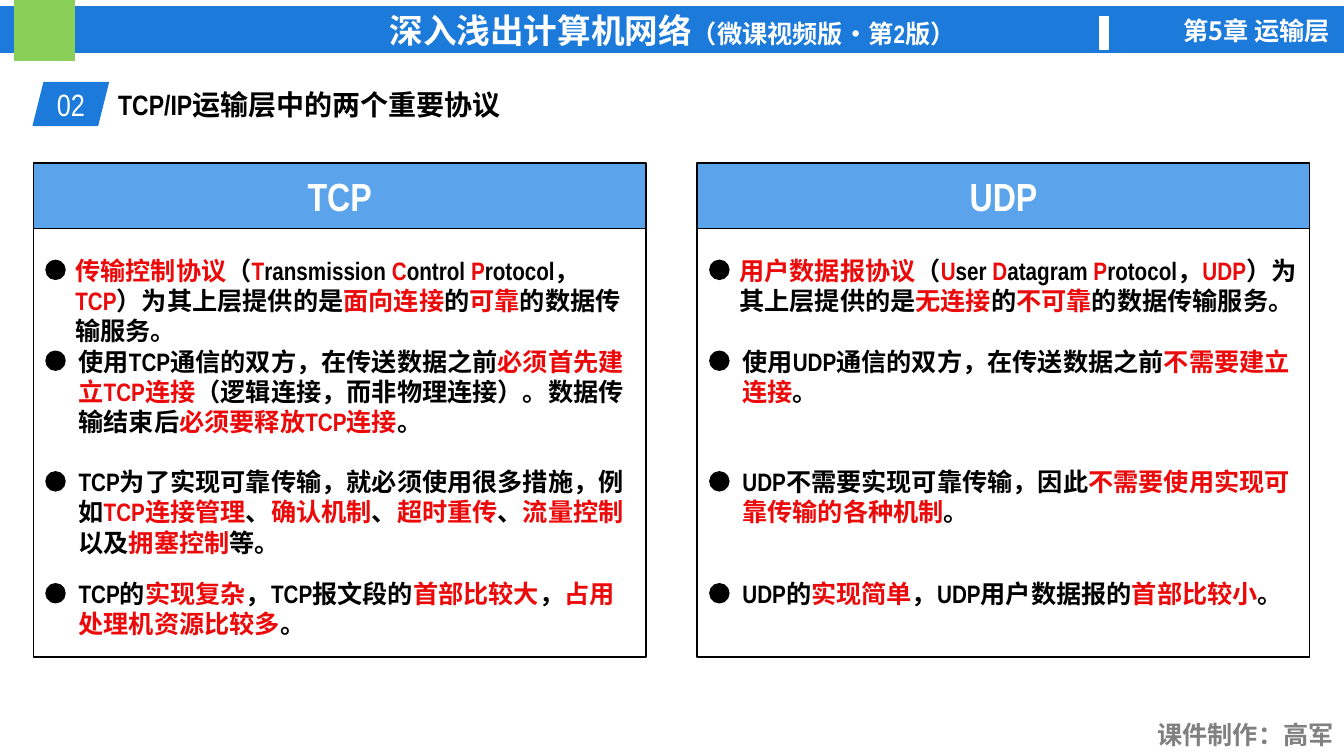
from dataclasses import dataclass
from typing import Optional

from lxml.etree import SubElement
from pptx import Presentation
from pptx.dml.color import RGBColor
from pptx.enum.lang import MSO_LANGUAGE_ID
from pptx.enum.shapes import MSO_SHAPE
from pptx.enum.text import MSO_ANCHOR, MSO_AUTO_SIZE, PP_ALIGN
from pptx.oxml.ns import qn
from pptx.shapes.autoshape import Shape
from pptx.util import Cm, Pt

BLUE = RGBColor(0x1B, 0x7A, 0xDA)
LIGHT_BLUE = RGBColor(0x5B, 0xA3, 0xEB)
GREEN = RGBColor(0x8A, 0xCF, 0x57)
RED = RGBColor(0xEB, 0x09, 0x09)
GRAY = RGBColor(0x80, 0x80, 0x80)
BLACK = RGBColor(0, 0, 0)
WHITE = RGBColor(0xFF, 0xFF, 0xFF)
LATIN_FONT = "Arial Narrow"
CHINESE_FONT = "Noto Sans CJK SC"


@dataclass
class Area:
    left: float
    top: float
    width: float
    height: float


@dataclass
class Protocol:
    name: str
    points: list[str]  # text in [brackets] is emphasised in red


PROTOCOLS = [
    Protocol("TCP", [
        "[传输控制协议]（[T]ransmission [C]ontrol [P]rotocol，[TCP]）为其上层提供的是"
        "[面向连接]的[可靠]的数据传输服务。",
        "使用TCP通信的双方，在传送数据之前[必须首先建立TCP连接]"
        "（逻辑连接，而非物理连接）。数据传输结束后[必须要释放TCP连接]。",
        "TCP为了实现可靠传输，就必须使用很多措施，例如[TCP连接管理]、[确认机制]、"
        "[超时重传]、[流量控制]以及[拥塞控制]等。",
        "TCP的[实现复杂]，TCP报文段的[首部比较大]，[占用处理机资源比较多]。",
    ]),
    Protocol("UDP", [
        "[用户数据报协议]（[U]ser [D]atagram [P]rotocol，[UDP]）为其上层提供的是"
        "[无连接]的[不可靠]的数据传输服务。",
        "使用UDP通信的双方，在传送数据之前[不需要建立连接]。",
        "UDP不需要实现可靠传输，因此[不需要使用实现可靠传输的各种机制]。",
        "UDP的[实现简单]，UDP用户数据报的[首部比较小]。",
    ]),
]

COLUMN_LEFT, COLUMN_PITCH, COLUMN_WIDTH = 0.84, 16.73, 15.44
HEADING_TOP, HEADING_HEIGHT, BODY_HEIGHT = 4.11, 1.65, 10.8
POINT_TOPS = [6.3, 8.59, 11.63, 14.45]
POINT_INDENTS = [0.81, 0.89, 0.89, 0.89]
DOT_INDENT, DOT_DROP, DOT_SIZE = 0.32, 0.26, 0.48

deck = Presentation()
deck.slide_width, deck.slide_height = Cm(33.87), Cm(19.05)
page = deck.slides.add_slide(deck.slide_layouts[6])


def add_span(box: Shape, text: str, *, size: float, color: RGBColor,
             bold: bool = True, font: str = LATIN_FONT) -> None:
    span = box.text_frame.paragraphs[0].add_run()
    span.text = text
    span.font.size, span.font.bold, span.font.name = Pt(size), bold, font
    span.font.color.rgb = color
    span.font.language_id = MSO_LANGUAGE_ID.SIMPLIFIED_CHINESE
    # East Asian typeface
    SubElement(span.font._element, qn("a:ea")).set("typeface", CHINESE_FONT)


def add_figure(kind: MSO_SHAPE, area: Area, fill: Optional[RGBColor],
               line: RGBColor) -> Shape:
    box = page.shapes.add_shape(kind, Cm(area.left), Cm(area.top),
                                Cm(area.width), Cm(area.height))
    box.shadow.inherit = False
    if fill is None:
        box.fill.background()
    else:
        box.fill.solid()
        box.fill.fore_color.rgb = fill
    box.line.color.rgb, box.line.width = line, Pt(1)
    box.text_frame.vertical_anchor = MSO_ANCHOR.MIDDLE
    box.text_frame.paragraphs[0].alignment = PP_ALIGN.CENTER
    return box


def add_text(area: Area, text: str, *, size: float = 18, color: RGBColor = BLACK,
             align: PP_ALIGN = PP_ALIGN.LEFT, font: str = LATIN_FONT) -> None:
    box = page.shapes.add_textbox(Cm(area.left), Cm(area.top),
                                  Cm(area.width), Cm(area.height))
    box.text_frame.word_wrap = True
    box.text_frame.auto_size = MSO_AUTO_SIZE.SHAPE_TO_FIT_TEXT
    box.text_frame.paragraphs[0].alignment = align
    # Brackets alternate between plain and emphasised text
    for index, part in enumerate(text.replace("]", "[").split("[")):
        if part:
            add_span(box, part, size=size, font=font,
                     color=RED if index % 2 else color)


def add_column(protocol: Protocol, left: float) -> None:
    heading = add_figure(MSO_SHAPE.RECTANGLE,
                         Area(left, HEADING_TOP, COLUMN_WIDTH, HEADING_HEIGHT),
                         LIGHT_BLUE, BLACK)
    add_span(heading, protocol.name, size=28, color=WHITE)
    add_figure(MSO_SHAPE.RECTANGLE,
               Area(left, HEADING_TOP + HEADING_HEIGHT, COLUMN_WIDTH, BODY_HEIGHT),
               None, BLACK)
    for text, top, indent in zip(protocol.points, POINT_TOPS, POINT_INDENTS):
        add_figure(MSO_SHAPE.OVAL,
                   Area(left + DOT_INDENT, top + DOT_DROP, DOT_SIZE, DOT_SIZE),
                   BLACK, BLACK)
        add_text(Area(left + indent, top, COLUMN_WIDTH + 0.02 - indent, 1.8), text)


# Top banner
banner = add_figure(MSO_SHAPE.RECTANGLE, Area(0, 0.18, 33.9, 1.14), BLUE, BLUE)
add_span(banner, "深入浅出计算机网络", size=24, color=WHITE)
add_span(banner, "（微课视频版•第2版）", size=18, color=WHITE)
add_figure(MSO_SHAPE.RECTANGLE, Area(0.36, 0, 1.52, 1.52), GREEN, GREEN)
add_figure(MSO_SHAPE.RECTANGLE, Area(27.72, 0.42, 0.2, 0.83), WHITE, WHITE)
add_text(Area(28.22, 0.25, 5.54, 1.02), "第5章 运输层", color=WHITE,
         align=PP_ALIGN.RIGHT, font=CHINESE_FONT)

# Footer
add_text(Area(28.8, 18, 5.06, 1.02), "课件制作：高军", color=GRAY,
         align=PP_ALIGN.RIGHT)

# Protocol columns
for number, protocol in enumerate(PROTOCOLS):
    add_column(protocol, COLUMN_LEFT + number * COLUMN_PITCH)

# Section title
badge = add_figure(MSO_SHAPE.PARALLELOGRAM, Area(0.84, 2.08, 1.89, 1.08), BLUE, BLUE)
badge.text_frame.word_wrap = False
add_span(badge, "02", size=22, color=WHITE, bold=False)
add_text(Area(2.73, 2.08, 15.32, 1.11), "TCP/IP运输层中的两个重要协议", size=20)

deck.save("out.pptx")
